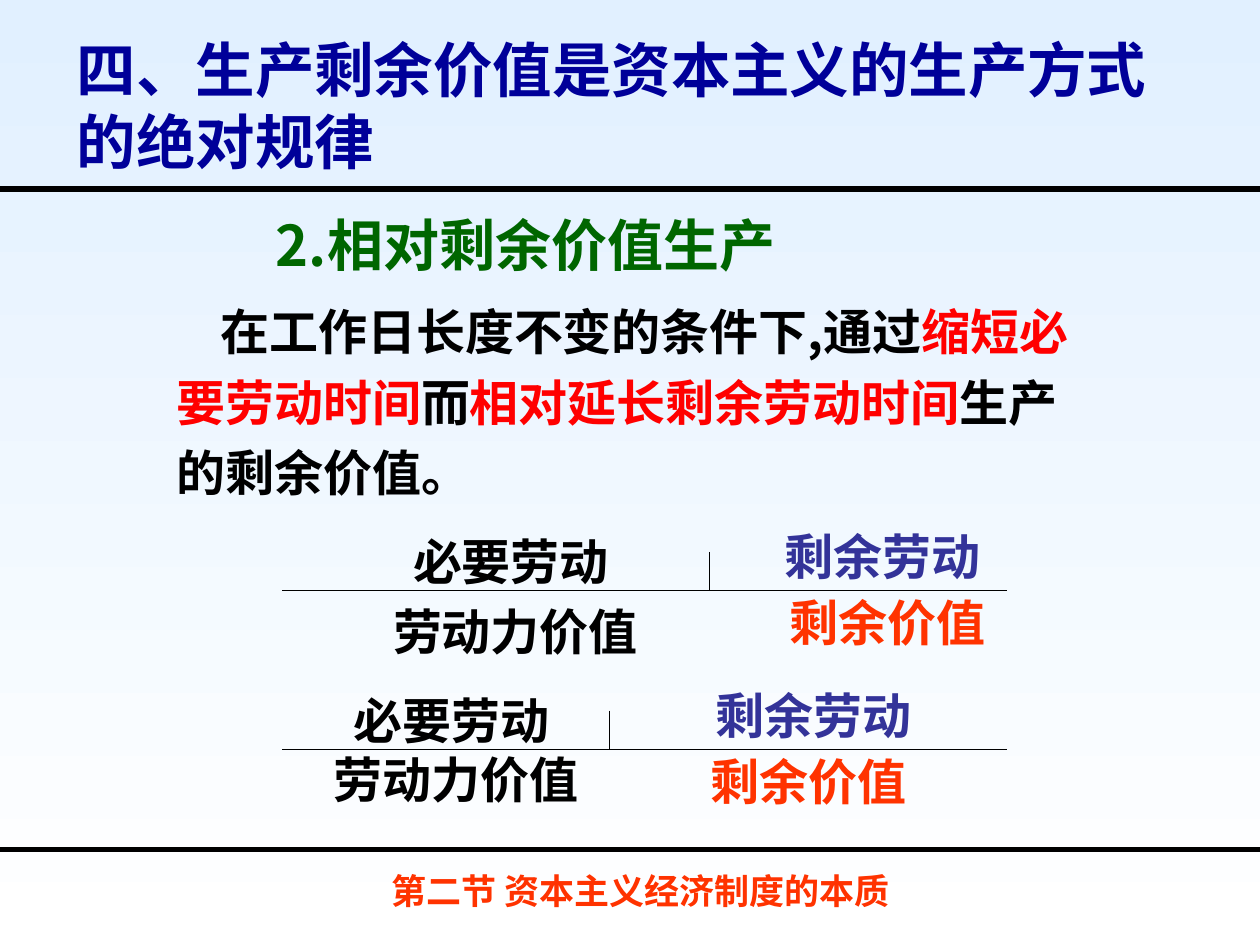
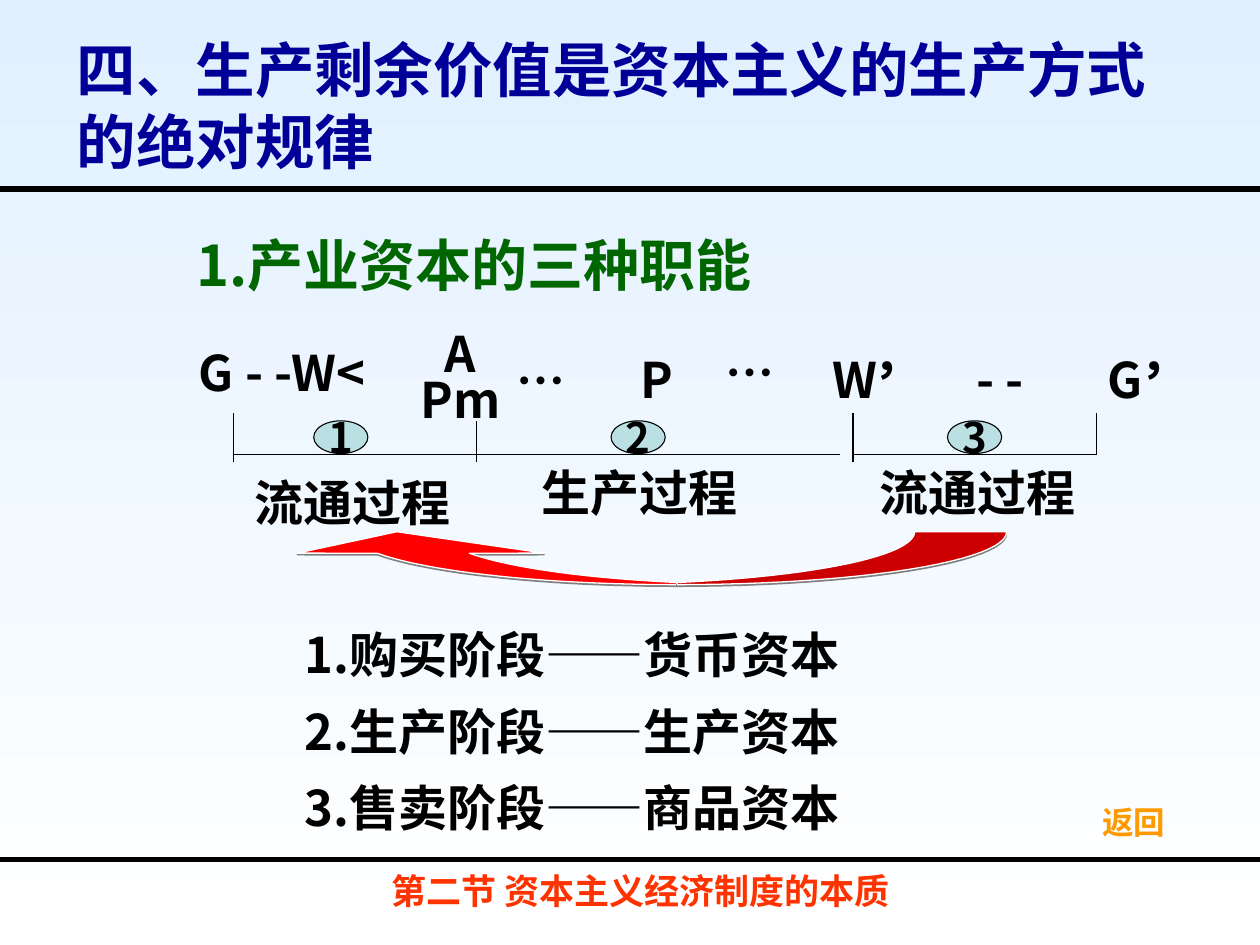
import math
from lxml import etree
from pptx import Presentation
from pptx.dml.color import RGBColor
from pptx.enum.shapes import MSO_CONNECTOR, MSO_SHAPE
from pptx.enum.text import MSO_ANCHOR, MSO_AUTO_SIZE, PP_ALIGN
from pptx.oxml.ns import qn
from pptx.util import Inches, Pt

LEFT, CENTER = PP_ALIGN.LEFT, PP_ALIGN.CENTER
TOP, MIDDLE = MSO_ANCHOR.TOP, MSO_ANCHOR.MIDDLE
NO_FIT = MSO_AUTO_SIZE.NONE
STRAIGHT, OVAL = MSO_CONNECTOR.STRAIGHT, MSO_SHAPE.OVAL
FONT = "Noto Sans CJK SC"
BLACK, NAVY, GREEN, ORANGE = "000000", "000099", "006600", "FF3300"
INDIGO, RED, DARK_RED, GOLD = "333399", "FF0000", "CC0000", "FF9900"
rgb = RGBColor.from_string


def write(sp, box, paragraphs, size=28, color=BLACK, align=CENTER, anchor=MIDDLE,
          wrap=False, spacing=1.0, indent=0, font=FONT):
    sp.left, sp.top, sp.width, sp.height = [Inches(v) for v in box]
    tf = sp.text_frame
    tf.auto_size = NO_FIT
    tf.word_wrap = wrap
    tf.vertical_anchor = anchor
    for i, runs in enumerate(paragraphs):
        p = tf.paragraphs[0] if i == 0 else tf.add_paragraph()
        pPr = p._p.get_or_add_pPr()
        pPr.set("marL", "0")
        pPr.set("indent", str(Inches(indent)))
        etree.SubElement(pPr, qn("a:buNone"))
        p.alignment = align
        p.line_spacing = spacing
        p.space_before = Pt(0)
        for text, run_color in runs:
            if text == "\n":
                p.add_line_break()
                continue
            r = p.add_run()
            r.text = text
            r.font.size = Pt(size)
            r.font.bold = True
            r.font.name = font
            r.font.color.rgb = rgb(run_color or color)
            etree.SubElement(r._r.get_or_add_rPr(), qn("a:ea")).set("typeface", font)


def line(s, x1, y1, x2, y2, width=0.62):
    cn = s.shapes.add_connector(STRAIGHT, Inches(x1), Inches(y1), Inches(x2), Inches(y2))
    cn.line.color.rgb = rgb(BLACK)
    cn.line.width = Pt(width)
    etree.SubElement(cn._element.spPr, qn("a:effectLst"))


prs = Presentation()
prs.slide_width, prs.slide_height = Inches(10), Inches(7.5)

slides = []
for footer_y, heading_box, heading in [
    (6.74, (2.09, 1.62, 5.28, 0.64), "2.相对剩余价值生产"),
    (6.82, (1.46, 1.78, 5.43, 0.64), "1.产业资本的三种职能"),
]:
    s = prs.slides.add_slide(prs.slide_layouts[1])
    fill = s.background.fill
    fill.gradient()
    fill.gradient_angle = 270
    for stop, color in zip(fill.gradient_stops, ("E1F0FF", "FFFFFF")):
        stop.color.rgb = rgb(color)
    line(s, 0, 1.5, 10, 1.5, 3)
    line(s, 0, footer_y, 10, footer_y, 3)
    write(s.shapes.title, (0.51, 0.28, 9.29, 1.1),
          [[("四、生产剩余价值是资本主义的生产方式", None), ("\n", None), ("的绝对规律", None)]],
          34, NAVY, LEFT, wrap=True)
    write(s.shapes.add_textbox(0, 0, 0, 0), heading_box, [[(heading, None)]],
          32, GREEN, LEFT, TOP, True)
    write(s.shapes.add_textbox(0, 0, 0, 0), (2.17, 6.83, 5.83, 0.47),
          [[("第二节 资本主义经济制度的本质", None)]], 20, ORANGE)
    slides.append(s)

s = slides[0]
write(s.placeholders[1], (1.3, 2.25, 7.4, 1.78), [[
    ("在工作日长度不变的条件下,通过", None),
    ("缩短必要劳动时间", RED),
    ("而", None),
    ("相对延长剩余劳动时间", RED),
    ("生产的剩余价值。", None),
]], align=LEFT, anchor=TOP, wrap=True, spacing=1.2, indent=0.35)

for axis_y, split_x, necessary_x, surplus_x, value_x, labor_value_y in [
    (4.69, 5.63, 2.95, 6.02, 6.02, 4.77),
    (5.95, 4.84, 2.48, 5.47, 5.39, 5.95),
]:
    line(s, 2.24, axis_y, 7.99, axis_y)
    line(s, split_x, axis_y - 0.31, split_x, axis_y)
    for text, box, color in [
        ("必要劳动", (necessary_x, axis_y - 0.47, 2.21, 0.47), BLACK),
        ("剩余劳动", (surplus_x, axis_y - 0.55, 1.97, 0.55), INDIGO),
        ("劳动力价值", (necessary_x, labor_value_y, 2.28, 0.47), BLACK),
        ("剩余价值", (value_x, axis_y + 0.01, 2.05, 0.47), ORANGE),
    ]:
        write(s.shapes.add_textbox(0, 0, 0, 0), box, [[(text, None)]], color=color)

s = slides[1]
for x, y1, y2 in [(1.85, 3.28, 3.67), (3.78, 3.34, 3.67), (6.77, 3.28, 3.67), (8.7, 3.28, 3.61)]:
    line(s, x, y1, x, y2)
for x1, x2 in [(1.85, 3.78), (3.78, 6.67), (6.77, 8.7)]:
    line(s, x1, 3.61, x2, 3.61)

for number, x in enumerate((2.49, 4.85, 7.52), 1):
    sp = s.shapes.add_shape(OVAL, 0, 0, 0, 0)
    sp.shadow.inherit = False
    sp.fill.solid()
    sp.fill.fore_color.rgb = rgb("BBE0E3")
    sp.line.color.rgb = rgb(BLACK)
    sp.line.width = Pt(0.62)
    write(sp, (x, 3.34, 0.43, 0.26), [[(str(number), None)]], 24)

for text, box in [
    ("A", (3.19, 2.57, 0.93, 0.47)),
    ("Pm", (3.19, 2.97, 0.93, 0.39)),
    ("P", (4.81, 2.81, 0.81, 0.39)),
    ("W", (6.32, 2.81, 0.93, 0.39)),
    ("，", (6.9, 2.65, 0.46, 0.31)),
    ("- -", (7.36, 2.89, 1.16, 0.24)),
    ("G", (8.52, 2.81, 0.81, 0.39)),
    ("，", (9.02, 2.65, 0.46, 0.31)),
    ("流通过程", (2.01, 3.75, 1.57, 0.47)),
    ("生产过程", (4.21, 3.67, 1.73, 0.47)),
    ("流通过程", (6.97, 3.67, 1.57, 0.47)),
]:
    write(s.shapes.add_textbox(0, 0, 0, 0), box, [[(text, None)]])
for text, box in [
    ("G - -W<", (1.48, 2.67, 1.53, 0.57)),
    ("…", (4, 2.73, 0.79, 0.57)),
    ("…", (5.66, 2.67, 0.53, 0.57)),
]:
    write(s.shapes.add_textbox(0, 0, 0, 0), box, [[(text, None)]], align=LEFT, anchor=TOP)

arrow_head = [(4.32, 4.39), (3.15, 4.22), (2.36, 4.39)]
for color, points, outer, inner, inner_x in [
    (RED, arrow_head, (156, 90), (106, 156), 6.11),
    (DARK_RED, [], (0, 90), (74, 0), 4.65),
]:
    points = list(points)
    for center_x, (start, end) in [(5.38, outer), (inner_x, inner)]:
        for i in range(25):
            t = math.radians(start + (end - start) * i / 24)
            points.append((center_x + 2.61 * math.cos(t), 4.22 + 0.42 * math.sin(t)))
    points = [(Inches(x), Inches(y)) for x, y in points]
    fb = s.shapes.build_freeform(*points[0])
    fb.add_line_segments(points[1:], close=True)
    sp = fb.convert_to_shape()
    sp.fill.solid()
    sp.fill.fore_color.rgb = rgb(color)
    sp.line.color.rgb = rgb("FFFFFF")
    sp.line.width = Pt(0.75)
    effects = etree.SubElement(sp._element.spPr, qn("a:effectLst"))
    shadow = etree.SubElement(effects, qn("a:outerShdw"), blurRad="0", dist=str(Pt(1)), dir="5400000")
    etree.SubElement(shadow, qn("a:srgbClr"), val="808080")

write(s.placeholders[1], (2.32, 4.77, 6.14, 1.92), [
    [("1.购买阶段——货币资本", None)],
    [("2.生产阶段——生产资本", None)],
    [("3.售卖阶段——商品资本", None)],
], align=LEFT, anchor=TOP, wrap=True, spacing=1.3)
write(s.shapes.add_textbox(0, 0, 0, 0), (8.71, 6.27, 0.58, 0.5), [[("返回", None)]],
      18, GOLD, font="Arial")

prs.save("out.pptx")
